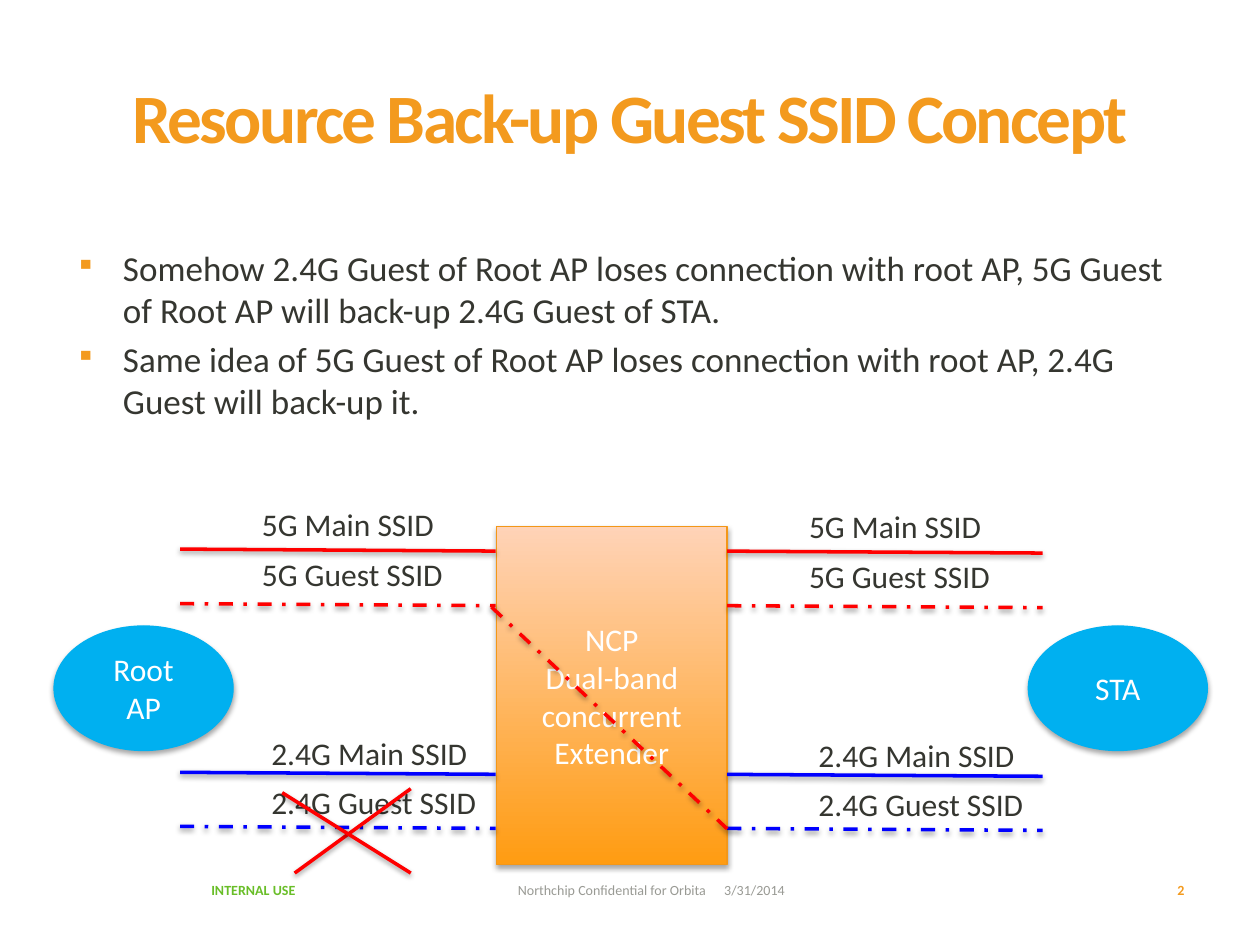
from pptx import Presentation
from pptx import util as u
from pptx.dml.color import RGBColor
from pptx.enum import dml, shapes, text
from pptx.oxml import parse_xml
from pptx.oxml.ns import nsdecls, qn

ORANGE, INK, RED, BLUE, SKY = "F39A1E", "353630", "FF0000", "0000FF", "00B0F0"
MID, CENTER = text.MSO_ANCHOR.MIDDLE, text.PP_ALIGN.CENTER


def color(value):
    return RGBColor.from_string(value)


def cm(*values):
    return [u.Cm(v) for v in values]


def add_xml(parent, body):
    """Appends a drawing element, adding its namespace at the first space."""
    parent.append(parse_xml(body.replace(" ", f" {nsdecls('a')} ", 1)))


def cast(shape, alpha, dist):
    """Gives a shape or line a soft shadow below it."""
    props = shape._element.spPr
    for old in props.findall(qn("a:effectLst")):
        props.remove(old)
    add_xml(props, f'<a:effectLst ><a:outerShdw blurRad="{u.Pt(3.1)}" dist="{u.Pt(dist)}" '
            'dir="5400000" rotWithShape="0"><a:srgbClr val="000000">'
            f'<a:alpha val="{alpha * 1000}"/></a:srgbClr></a:outerShdw></a:effectLst>')


def write(frame, lines, size, hue, bold=False, wrap=True, anchor=text.MSO_ANCHOR.TOP, **layout):
    """Fills a frame, one paragraph a line; layout holds paragraph settings."""
    frame.word_wrap, frame.vertical_anchor = wrap, anchor
    for i, line in enumerate(lines):
        para = frame.paragraphs[0] if i == 0 else frame.add_paragraph()
        for name, value in layout.items():
            setattr(para, name, value)
        run = para.add_run()
        run.text = line
        for name, value in dict(size=u.Pt(size), name="Calibri", bold=bold).items():
            setattr(run.font, name, value)
        run.font.color.rgb = color(hue)
    return frame.paragraphs


def add_text(slide, box, lines, size, hue, **style):
    return write(slide.shapes.add_textbox(*cm(*box)).text_frame, lines, size, hue, **style)


def add_line(slide, start, end, hue, dashed=False):
    line = slide.shapes.add_connector(shapes.MSO_CONNECTOR.STRAIGHT, *cm(*start, *end))
    line.line.color.rgb = color(hue)
    line.line.width = u.Pt(2)
    if dashed:
        line.line.dash_style = dml.MSO_LINE.DASH_DOT
    cast(line, 38, 1.6)


def add_node(slide, kind, box, lines, edge):
    node = slide.shapes.add_shape(kind, *cm(*box))
    node.line.color.rgb = color(edge)
    node.line.width = u.Pt(0.75)
    node.fill.solid()
    node.fill.fore_color.rgb = color(edge)
    write(node.text_frame, lines, 18, "FFFFFF", anchor=MID, alignment=CENTER)
    cast(node, 35, 1.8)
    return node


def add_title(slide, box):
    para = add_text(slide, box, ["Resource Back-up Guest SSID Concept"], 39.6, ORANGE,
                    bold=True, alignment=CENTER, line_spacing=0.8)[0]
    para.runs[0].font._element.set("spc", "-150")


def add_points(slide, box):
    points = [
        "Somehow 2.4G Guest of Root AP loses connection with root AP, 5G Guest "
        "of Root AP will back-up 2.4G Guest of STA.",
        "Same idea of 5G Guest of Root AP loses connection with root AP, 2.4G "
        "Guest will back-up it.",
    ]
    for para in add_text(slide, box, points, 20, INK, space_before=u.Pt(4)):
        props = para._p.get_or_add_pPr()
        props.set("marL", str(u.Cm(0.96)))
        props.set("indent", str(u.Cm(-0.96)))
        add_xml(props, f'<a:buClr ><a:srgbClr val="{ORANGE}"/></a:buClr>')
        add_xml(props, '<a:buSzPct val="80000"/>')
        add_xml(props, '<a:buChar char="▪"/>')


def add_links(slide, left, top):
    """Draws the four labelled links of one side, with 5G above 2.4G."""
    rows = [  # band, network, line y, label x, label y
        ("5G", "Main", 0, 1.4, -1.02),
        ("5G", "Guest", 1.1, 1.4, 0),
        ("2.4G", "Main", 4.5, 1.59, 3.6),
        ("2.4G", "Guest", 5.59, 1.59, 4.59),
    ]
    for band, net, y, dx, dy in rows:
        add_line(slide, (left, top + y), (left + 6.36, top + y + 0.04),
                 RED if band == "5G" else BLUE, net == "Guest")
        add_text(slide, (left + dx, top + dy, 4.9, 1.02), [f"{band} {net} SSID"],
                 18, INK, wrap=False)


def add_extender(slide, box):
    node = add_node(slide, shapes.MSO_SHAPE.RECTANGLE, box,
                    ["NCP", "Dual-band concurrent Extender"], "F39718")
    node.fill.gradient()
    node.fill.gradient_angle = 90
    for stop, hue in zip(node.fill.gradient_stops, ("FF9C12", "FFD3B7")):
        stop.color.rgb = color(hue)


def add_diagram(slide, left, top):
    add_extender(slide, (left + 8.92, top, 4.65, 6.81))
    add_links(slide, left + 13.57, top + 0.49)
    for x, lines in ((19.64, ["STA"]), (0, ["Root", "AP"])):
        add_node(slide, shapes.MSO_SHAPE.OVAL, (left + x, top + 2, 3.61, 2.51), lines, SKY)
    add_links(slide, left + 2.54, top + 0.45)
    add_line(slide, (left + 4.85, top + 6.98), (left + 7.19, top + 5.28), RED)
    add_line(slide, (left + 4.6, top + 5.36), (left + 7.19, top + 6.98), RED)
    add_line(slide, (left + 8.82, top + 1.62), (left + 13.57, top + 6.09), RED, True)


def add_footer(slide, left, top):
    add_text(slide, (left, top, 4.47, 1.02), ["INTERNAL USE"], 8, "69BE28",
             bold=True, anchor=MID)
    note = add_text(slide, (left + 6.18, top, 8.43, 1.02),
                    ["Northchip Confidential for Orbita\t3/31/2014"], 8, "999A94", anchor=MID)[0]
    add_xml(note._p.get_or_add_pPr(),
            f'<a:tabLst ><a:tab pos="{u.Cm(4.16)}" algn="l"/></a:tabLst>')
    add_text(slide, (left + 17.17, top, 2.95, 1.02), ["2"], 8, ORANGE,
             bold=True, anchor=MID, alignment=text.PP_ALIGN.RIGHT)


def main():
    deck = Presentation()
    deck.slide_width, deck.slide_height = cm(25.4, 19.05)
    slide = deck.slides.add_slide(deck.slide_layouts[6])
    add_title(slide, (1.27, 1.7, 22.86, 3.15))
    add_points(slide, (1.27, 4.85, 22.86, 11.91))
    add_diagram(slide, 1.09, 10.62)
    add_footer(slide, 4.01, 17.44)
    deck.save("out.pptx")


if __name__ == "__main__":
    main()
